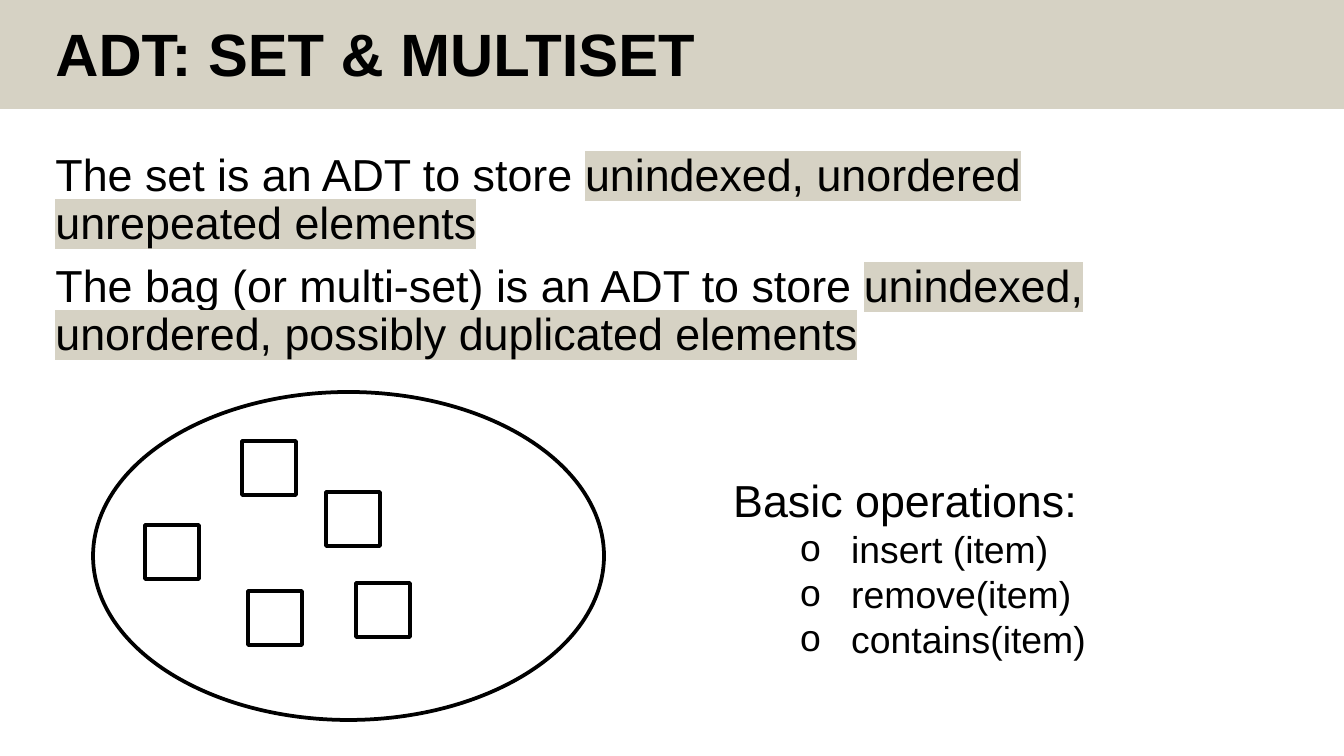
from lxml.etree import SubElement
from pptx import Presentation
from pptx.dml.color import RGBColor
from pptx.enum.shapes import MSO_SHAPE
from pptx.enum.text import MSO_ANCHOR, MSO_AUTO_SIZE, PP_ALIGN
from pptx.oxml import parse_xml
from pptx.oxml.ns import nsdecls, qn
from pptx.util import Emu, Pt

SCALE = 914400 / 134.4
FONT = "Arial"
COLORS = {"ink": "000000", "sand": "D6D2C4"}

DEFINITIONS = [
    ("The set is an ADT to store ", "unindexed, unordered unrepeated elements"),
    (
        "The bag (or multi-set) is an ADT to store ",
        "unindexed, unordered, possibly duplicated elements",
    ),
]
OPERATIONS = ["insert (item)", "remove(item)", "contains(item)"]
SET_OUTLINE = (93, 392, 511, 328)
ITEM_SIZE = 54
ITEM_CORNERS = [(248, 591), (356, 583), (242, 441), (326, 492), (145, 525)]


def px(length):
    return Emu(round(length * SCALE))


def color(name):
    return RGBColor.from_string(COLORS[name])


def place(shape, left, top, width, height):
    shape.left, shape.top = px(left), px(top)
    shape.width, shape.height = px(width), px(height)


def format_font(font, size, bold=False):
    font.name = FONT
    font.size = Pt(size)
    font.bold = bold
    font.color.rgb = color("ink")


def highlight(span):
    fill = span.font._element.find(qn("a:solidFill"))
    fill.addnext(
        parse_xml(
            f'<a:highlight {nsdecls("a")}><a:srgbClr val="{COLORS["sand"]}"/></a:highlight>'
        )
    )


def set_bullet(para, symbol=None, margin=0, indent=0):
    properties = para._p.get_or_add_pPr()
    properties.set("marL", str(px(margin)))
    properties.set("indent", str(px(indent)))
    if symbol:
        SubElement(properties, qn("a:buFont")).set("typeface", FONT)
        SubElement(properties, qn("a:buChar")).set("char", symbol)
    else:
        SubElement(properties, qn("a:buNone"))


def add_banner(page):
    banner = page.shapes.add_shape(MSO_SHAPE.RECTANGLE, 0, 0, px(1344), px(109))
    banner.shadow.inherit = False
    banner.fill.solid()
    banner.fill.fore_color.rgb = color("sand")
    banner.line.fill.background()
    page.shapes._spTree.insert(2, banner._element)


def fill_title(title, text):
    place(title, 42, 22, 1035, 71)
    frame = title.text_frame
    frame.text = text
    frame.auto_size = MSO_AUTO_SIZE.NONE
    frame.vertical_anchor = MSO_ANCHOR.MIDDLE
    para = frame.paragraphs[0]
    para.alignment = PP_ALIGN.LEFT
    para.line_spacing = 0.9
    format_font(para.runs[0].font, 32, bold=True)


def fill_definitions(body):
    place(body, 42, 146, 1228, 551)
    frame = body.text_frame
    frame.auto_size = MSO_AUTO_SIZE.NONE
    for index, texts in enumerate(DEFINITIONS):
        para = frame.add_paragraph() if index else frame.paragraphs[0]
        para.line_spacing = 0.9
        para.space_before = Pt(7.5 if index else 0)
        set_bullet(para)
        for text in texts:
            span = para.add_run()
            span.text = text
            format_font(span.font, 24)
        highlight(para.runs[-1])


def add_operations(page):
    box = page.shapes.add_textbox(px(720), px(466), px(383), px(203))
    frame = box.text_frame
    frame.word_wrap = False
    frame.auto_size = MSO_AUTO_SIZE.SHAPE_TO_FIT_TEXT
    frame.text = "Basic operations:"
    format_font(frame.paragraphs[0].runs[0].font, 24)
    for operation in OPERATIONS:
        para = frame.add_paragraph()
        para.text = operation
        para.level = 1
        set_bullet(para, "o", 118, -51)
        format_font(para.runs[0].font, 20)


def add_outline(page, kind, left, top, width, height):
    shape = page.shapes.add_shape(kind, px(left), px(top), px(width), px(height))
    shape.shadow.inherit = False
    shape.fill.background()
    shape.line.color.rgb = color("ink")
    shape.line.width = Pt(2)


def add_set_diagram(page):
    add_outline(page, MSO_SHAPE.OVAL, *SET_OUTLINE)
    for left, top in ITEM_CORNERS:
        add_outline(page, MSO_SHAPE.RECTANGLE, left, top, ITEM_SIZE, ITEM_SIZE)


def main():
    deck = Presentation()
    deck.slide_width, deck.slide_height = px(1344), px(756)
    page = deck.slides.add_slide(deck.slide_layouts[1])
    add_banner(page)
    fill_title(page.shapes.title, "ADT: SET & MULTISET")
    fill_definitions(page.placeholders[1])
    add_operations(page)
    add_set_diagram(page)
    deck.save("out.pptx")


if __name__ == "__main__":
    main()
